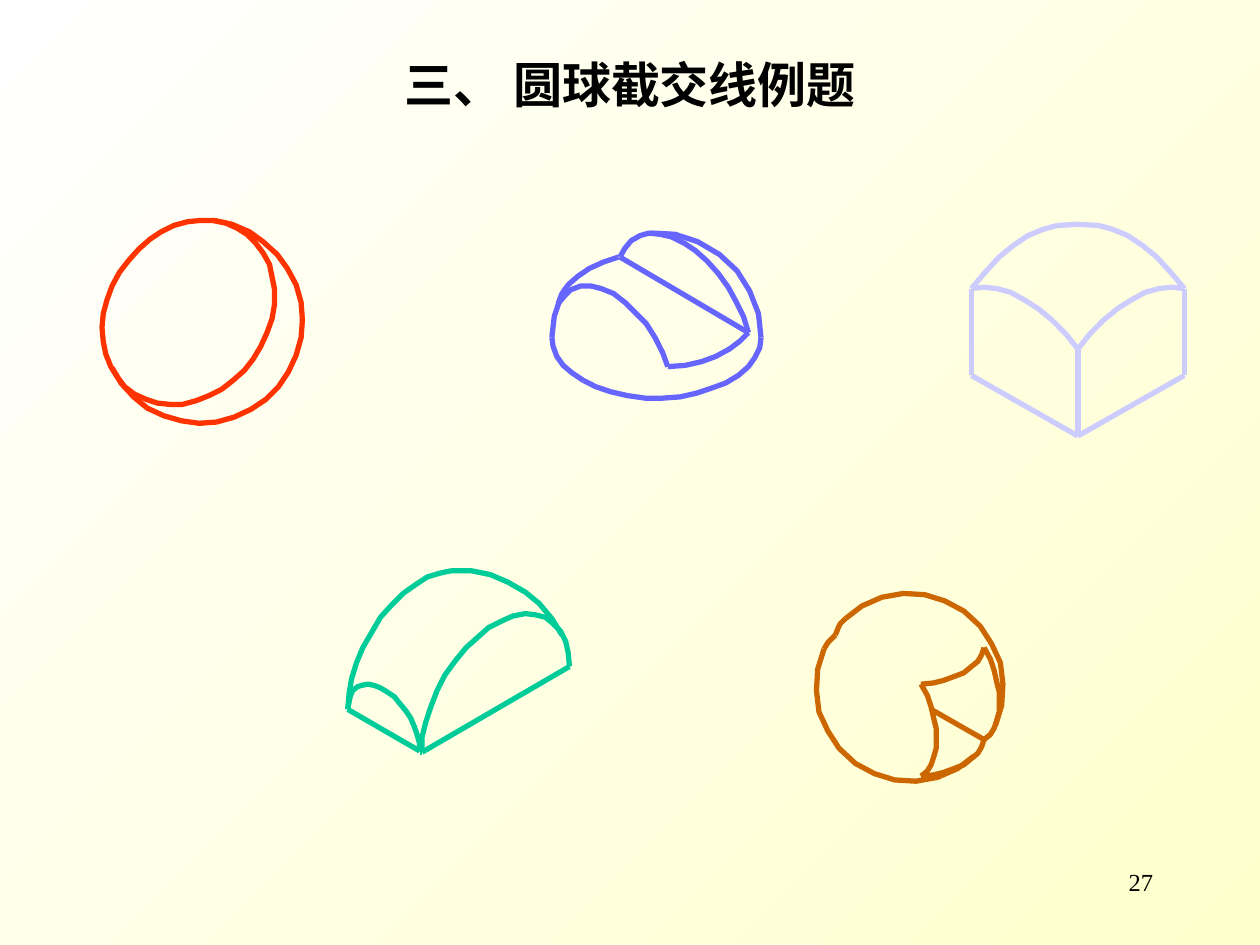
from lxml.etree import SubElement
from pptx import Presentation
from pptx.dml.color import RGBColor
from pptx.enum.shapes import MSO_CONNECTOR
from pptx.enum.text import MSO_ANCHOR, PP_ALIGN
from pptx.oxml.ns import qn
from pptx.util import Inches, Pt

COLORS = {
    "text": "000000", "bg_start": "FFFFCC", "bg_end": "FFFFFF",
    "cap": "FF3300", "dome": "6666FF", "corner": "CCCCFF",
    "quarter": "00CC99", "notched": "CC6600",
}


def rgb(name):
    return RGBColor.from_string(COLORS[name])


def shift(path, dx, dy):
    return [(x + dx, y + dy) for x, y in path]


def mirror(path, width):
    return [(width - x, y) for x, y in path]


def half_turn(path, width, height):
    return [(width - x, height - y) for x, y in path]


# Each solid is a list of paths, in hundredths of an inch from its box corner.
def cap_paths():
    cut = [(15, 46), (9, 57), (5, 68), (2, 79), (1, 90), (2, 101), (4, 111),
           (8, 121), (13, 129), (19, 137), (27, 143), (36, 147), (45, 150),
           (55, 151), (65, 151), (76, 148), (86, 144), (96, 139), (105, 132),
           (114, 124), (121, 115), (127, 105), (132, 94), (136, 83), (138, 71),
           (138, 60), (136, 50), (134, 40), (129, 31), (123, 23), (116, 16),
           (108, 11), (99, 7), (89, 5), (79, 5), (69, 6), (58, 9), (48, 14),
           (39, 20), (30, 28), (22, 37), (15, 46)]
    rim = [(9, 122), (16, 134), (26, 145), (37, 154), (50, 160), (64, 164),
           (78, 166), (92, 165), (106, 161), (119, 155), (131, 147), (141, 137),
           (149, 125), (155, 112), (159, 98), (160, 84), (159, 70), (155, 56),
           (148, 43), (140, 32), (129, 22), (118, 14), (104, 8), (90, 5)]
    return [cut, rim]


def dome_paths():
    base_left = [(8, 88), (9, 95), (12, 103), (17, 110), (24, 116), (33, 122)]
    base = [(33, 122), (43, 127), (55, 131), (68, 134), (82, 136), (96, 136),
            (110, 135), (123, 132), (135, 128), (146, 124), (156, 118),
            (164, 111), (169, 104), (173, 96), (174, 88)]
    shoulder = [(61, 24), (49, 28), (38, 33), (29, 39), (21, 46), (16, 53), (13, 61)]
    step_edge = [(100, 111), (114, 110), (127, 107), (138, 103), (149, 97),
                 (157, 91), (164, 84)]
    step_line = [(62, 24), (164, 84)]
    upper_cut = [(164, 84), (160, 71), (154, 59), (148, 48), (140, 37), (131, 27),
                 (122, 19), (113, 13), (103, 8), (94, 6), (85, 5), (78, 7),
                 (71, 11), (66, 17), (62, 24)]
    lower_cut = [(100, 111), (96, 100), (90, 88), (83, 77), (74, 68), (66, 60),
                 (57, 53), (47, 49), (39, 47), (31, 47), (23, 50), (18, 55), (13, 61)]
    left_rim = [(15, 56), (10, 71), (8, 88)]
    right_rim = [(174, 88), (172, 69), (165, 51), (155, 35), (141, 22), (124, 12),
                 (106, 6), (87, 5)]
    return [base_left, base, shoulder, step_edge, step_line, upper_cut,
            lower_cut, left_rim, right_rim]


def corner_paths():
    width, mid = 171, 85.5
    left_half = [
        [(69, 9), (58, 12), (46, 17), (34, 25), (23, 34), (12, 46), (1, 59)],
        [(mid, 107), (76, 95), (65, 84), (54, 75), (43, 68), (32, 62), (21, 59),
         (11, 58), (1, 59)],
        [(1, 59), (1, 128)],
        [(1, 128), (mid, 176)],
    ]
    middle = [[(mid, 176), (mid, 107)], [(69, 9), (mid, 8), (102, 9)]]
    return left_half + [mirror(path, width) for path in left_half] + middle


def quarter_paths():
    small_cut = [(63, 146), (63, 140), (61, 133), (59, 127), (56, 120), (52, 114),
                 (47, 108), (43, 103), (37, 99), (32, 96), (27, 94), (22, 93),
                 (17, 94), (14, 95), (10, 98), (8, 103), (7, 108), (6, 113)]
    large_cut = [(182, 79), (181, 68), (179, 59), (175, 51), (169, 45), (163, 40),
                 (155, 38), (147, 37), (137, 39), (128, 43), (118, 48), (109, 56),
                 (100, 64), (91, 75), (83, 86), (77, 98), (72, 111), (68, 123),
                 (65, 135), (65, 147)]
    left_rim = [(88, 3), (79, 5), (69, 8), (60, 14), (50, 21), (41, 30), (32, 40),
                (25, 52), (18, 64), (13, 76), (9, 89), (7, 101), (6, 113)]
    right_rim = [(176, 54), (168, 41), (158, 29), (147, 20), (133, 12), (119, 6),
                 (104, 3), (88, 3)]
    edges = [[(63, 147), (65, 147)], [(6, 113), (63, 146)], [(65, 147), (182, 79)]]
    return edges + [small_cut, large_cut, left_rim, right_rim]


def notched_paths():
    side = [(91, 146), (96, 142), (99, 137), (101, 131), (103, 124), (103, 116),
            (103, 108), (101, 100), (99, 91), (96, 82), (91, 73)]
    top = [(91, 73), (101, 72), (109, 70), (117, 67), (125, 64), (131, 59),
           (136, 55), (139, 50), (141, 44)]
    rim = [(14, 45), (9, 61), (8, 78), (10, 95), (17, 110), (26, 124), (39, 136),
           (54, 144), (70, 149), (87, 150), (104, 147), (120, 140), (133, 130)]
    dents = [[(23, 34), (20, 37), (17, 40), (14, 45)],
             [(31, 21), (27, 25), (25, 29), (23, 34)]]
    ridge = [(99, 93), (141, 117)]
    return [side, shift(side, 50, -29), top, shift(top, 0, 73), ridge,
            rim, half_turn(rim, 164, 151)] + dents


def draw_solid(s, left, top, color, paths):
    group = s.shapes.add_group_shape()
    for path in paths:
        points = [(left + Inches(x / 100), top + Inches(y / 100)) for x, y in path]
        if len(points) == 2:
            sp = group.shapes.add_connector(MSO_CONNECTOR.STRAIGHT, *points[0], *points[1])
            SubElement(sp._element.spPr, qn("a:effectLst"))
        else:
            builder = group.shapes.build_freeform(*points[0])
            builder.add_line_segments(points[1:], close=False)
            sp = builder.convert_to_shape()
            sp.fill.background()
            sp.shadow.inherit = False
        sp.line.color.rgb = rgb(color)
        sp.line.width = Pt(3)


def add_text(s, box, text, align, anchor, font):
    tf = s.shapes.add_textbox(*map(Inches, box)).text_frame
    tf.word_wrap = True
    tf.vertical_anchor = anchor
    p = tf.paragraphs[0]
    p.alignment = align
    r = p.add_run()
    r.text = text
    for key, value in font.items():
        setattr(r.font, key, value)
    r.font.color.rgb = rgb("text")
    SubElement(r.font._element, qn("a:ea")).set("typeface", font["name"])


def set_background(s):
    fill = s.background.fill
    fill.gradient()
    fill.gradient_angle = 135
    for stop, name in zip(fill.gradient_stops, ("bg_start", "bg_end")):
        stop.color.rgb = rgb(name)


def main():
    prs = Presentation()
    prs.slide_width, prs.slide_height = Inches(10), Inches(7.5)
    s = prs.slides.add_slide(prs.slide_layouts[6])
    set_background(s)
    add_text(s, (0.75, 0.04, 8.5, 1.25), "三、 圆球截交线例题", PP_ALIGN.CENTER,
             MSO_ANCHOR.MIDDLE,
             {"name": "Noto Sans CJK SC", "size": Pt(28), "bold": True})
    solids = [
        (4.3, 1.8, "dome", dome_paths()),
        (6.4, 4.7, "notched", notched_paths()),
        (2.7, 4.5, "quarter", quarter_paths()),
        (0.8, 1.7, "cap", cap_paths()),
        (7.7, 1.7, "corner", corner_paths()),
    ]
    for left, top, color, paths in solids:
        draw_solid(s, Inches(left), Inches(top), color, paths)
    add_text(s, (7.17, 6.83, 2.08, 0.5), "27", PP_ALIGN.RIGHT, MSO_ANCHOR.TOP,
             {"name": "Times New Roman", "size": Pt(14)})
    prs.save("out.pptx")


if __name__ == "__main__":
    main()
